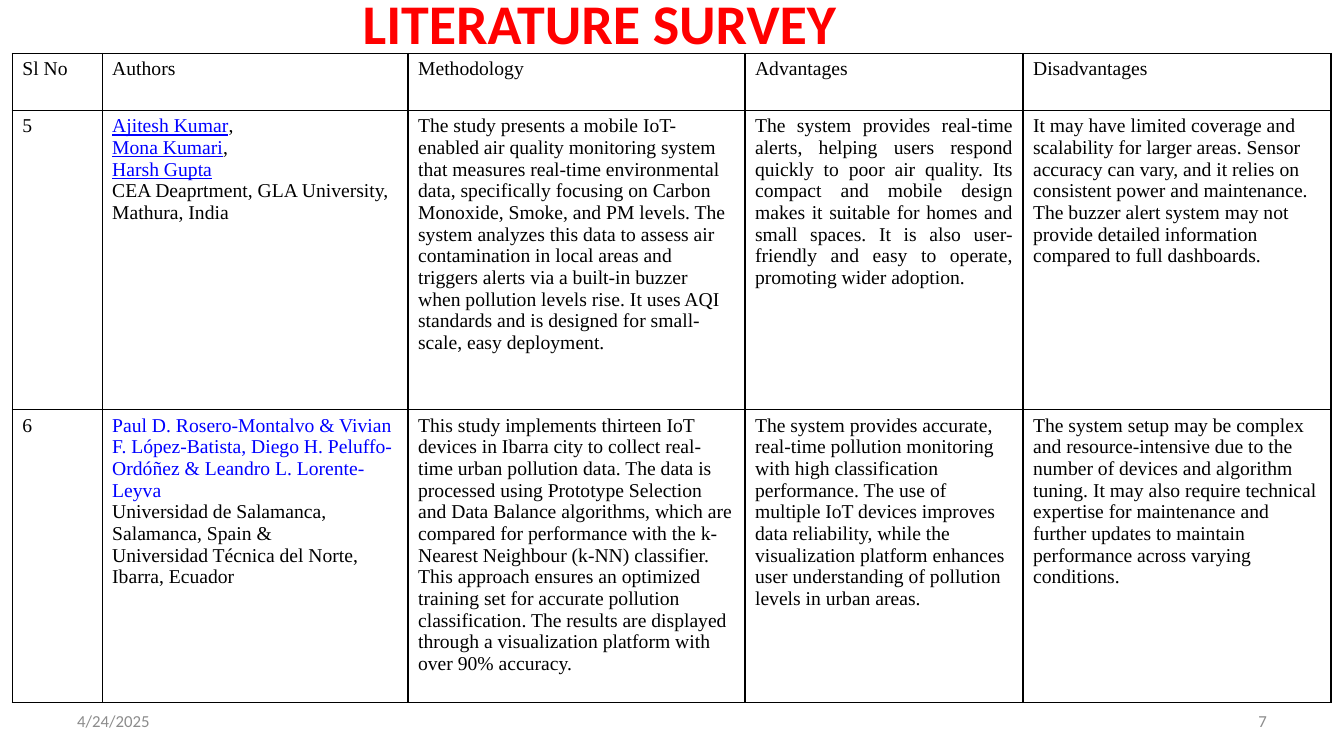
from dataclasses import dataclass

from lxml.etree import SubElement
from pptx import Presentation
from pptx.dml.color import RGBColor
from pptx.enum.text import MSO_ANCHOR as Anchor, PP_ALIGN as Align
from pptx.oxml.ns import qn
from pptx.util import Pt


@dataclass(frozen=True)
class Theme:
    heading_font: str = "Calibri"
    body_font: str = "Times New Roman"
    title_size: float = 40
    body_size: float = 14
    footer_size: float = 12
    border_width: float = 1
    black: str = "000000"
    red: str = "FF0000"
    blue: str = "0000FF"
    grey: str = "8C8C8C"
    white: str = "FFFFFF"


THEME = Theme()


@dataclass(frozen=True)
class Span:
    text: str
    color: str = THEME.black
    underline: bool = False


@dataclass(frozen=True)
class Para:
    spans: tuple[Span, ...]
    align: Align = Align.LEFT


@dataclass(frozen=True)
class Label:
    text: str
    left: float
    top: float
    width: float
    height: float
    size: float
    color: str
    bold: bool = False
    align: Align = Align.LEFT
    anchor: Anchor = Anchor.TOP


def plain(text: str, align: Align = Align.LEFT) -> list[Para]:
    return [Para((Span(text),), align)]


def author(name: str, ending: str = "") -> Para:
    """One underlined author name, with its closing punctuation in black."""
    link = Span(name, THEME.blue, underline=True)
    return Para((link, Span(ending)) if ending else (link,))


FOOTER = dict(top=500.5, width=224, height=28.75, size=THEME.footer_size,
              color=THEME.grey, anchor=Anchor.MIDDLE)
LABELS = [
    Label("4/24/2025", left=48, **FOOTER),
    Label("7", left=688, align=Align.RIGHT, **FOOTER),
    Label("LITERATURE SURVEY", 252, -12, 648, 90, THEME.title_size, THEME.red, bold=True),
]

TABLE_LEFT, TABLE_TOP = 8.8, 38.2
COLUMN_WIDTHS = [64.2, 218.5, 240.7, 198.6, 220]
ROW_HEIGHTS = [40.6, 213.8, 193.4]

HEADER = [plain(name) for name in
          ("Sl No", "Authors", "Methodology", "Advantages", "Disadvantages")]
MOBILE_MONITOR_STUDY = [
    plain("5"),
    [
        author("Ajitesh Kumar", ","),
        author("Mona Kumari", ","),
        author("Harsh Gupta"),
        *plain("CEA Deaprtment, GLA University, Mathura, India"),
    ],
    plain("The study presents a mobile IoT-enabled air quality monitoring system that "
          "measures real-time environmental data, specifically focusing on Carbon Monoxide, "
          "Smoke, and PM levels. The system analyzes this data to assess air contamination "
          "in local areas and triggers alerts via a built-in buzzer when pollution levels "
          "rise. It uses AQI standards and is designed for small-scale, easy deployment."),
    plain("The system provides real-time alerts, helping users respond quickly to poor air "
          "quality. Its compact and mobile design makes it suitable for homes and small "
          "spaces. It is also user-friendly and easy to operate, promoting wider adoption.",
          Align.JUSTIFY),
    plain("It may have limited coverage and scalability for larger areas. Sensor accuracy "
          "can vary, and it relies on consistent power and maintenance. The buzzer alert "
          "system may not provide detailed information compared to full dashboards."),
]
CITY_NETWORK_STUDY = [
    plain("6"),
    [
        Para((Span("Paul D. Rosero-Montalvo & Vivian F. López-Batista, "
                   "Diego H. Peluffo-Ordóñez & Leandro L. Lorente-Leyva", THEME.blue),)),
        *plain("Universidad de Salamanca, Salamanca, Spain &"),
        *plain("Universidad Técnica del Norte, Ibarra, Ecuador"),
    ],
    plain("This study implements thirteen IoT devices in Ibarra city to collect real-time "
          "urban pollution data. The data is processed using Prototype Selection and Data "
          "Balance algorithms, which are compared for performance with the k-Nearest "
          "Neighbour (k-NN) classifier. This approach ensures an optimized training set for "
          "accurate pollution classification. The results are displayed through a "
          "visualization platform with over 90% accuracy."),
    plain("The system provides accurate, real-time pollution monitoring with high "
          "classification performance. The use of multiple IoT devices improves data "
          "reliability, while the visualization platform enhances user understanding of "
          "pollution levels in urban areas."),
    plain("The system setup may be complex and resource-intensive due to the number of "
          "devices and algorithm tuning. It may also require technical expertise for "
          "maintenance and further updates to maintain performance across varying "
          "conditions."),
]
ROWS = [HEADER, MOBILE_MONITOR_STUDY, CITY_NETWORK_STUDY]


def style_font(font, name: str, size: float, color: str, bold: bool = False) -> None:
    font.name = name
    font.size = Pt(size)
    font.bold = bold
    font.color.rgb = RGBColor.from_string(color)


def add_label(page, label: Label) -> None:
    box = page.shapes.add_textbox(
        Pt(label.left), Pt(label.top), Pt(label.width), Pt(label.height))
    frame = box.text_frame
    frame.word_wrap = True
    frame.vertical_anchor = label.anchor
    paragraph = frame.paragraphs[0]
    paragraph.text = label.text
    paragraph.alignment = label.align
    style_font(paragraph.font, THEME.heading_font, label.size, label.color, label.bold)


def add_borders(cell) -> None:
    """Draw all four cell edges; call before filling, as edges precede the fill in XML."""
    properties = cell._tc.get_or_add_tcPr()
    for edge in ("a:lnL", "a:lnR", "a:lnT", "a:lnB"):
        line = SubElement(properties, qn(edge), w=str(Pt(THEME.border_width)))
        fill = SubElement(line, qn("a:solidFill"))
        SubElement(fill, qn("a:srgbClr"), val=THEME.black)


def fill_cell(cell, paras: list[Para]) -> None:
    add_borders(cell)
    cell.fill.solid()
    cell.fill.fore_color.rgb = RGBColor.from_string(THEME.white)
    frame = cell.text_frame
    for index, para in enumerate(paras):
        paragraph = frame.add_paragraph() if index else frame.paragraphs[0]
        paragraph.alignment = para.align
        style_font(paragraph.font, THEME.body_font, THEME.body_size, THEME.black)
        for span in para.spans:
            run = paragraph.add_run()
            run.text = span.text
            if span.color != THEME.black:
                run.font.color.rgb = RGBColor.from_string(span.color)
            if span.underline:
                run.font.underline = True


def add_survey_table(page) -> None:
    table = page.shapes.add_table(
        len(ROWS), len(COLUMN_WIDTHS), Pt(TABLE_LEFT), Pt(TABLE_TOP),
        Pt(sum(COLUMN_WIDTHS)), Pt(sum(ROW_HEIGHTS))).table
    table.first_row = False
    table.horz_banding = False
    for column, width in zip(table.columns, COLUMN_WIDTHS):
        column.width = Pt(width)
    for row, height, contents in zip(table.rows, ROW_HEIGHTS, ROWS):
        row.height = Pt(height)
        for cell, paras in zip(row.cells, contents):
            fill_cell(cell, paras)


def main() -> None:
    deck = Presentation()
    deck.slide_width, deck.slide_height = Pt(960), Pt(540)
    page = deck.slides.add_slide(deck.slide_layouts[6])
    for label in LABELS:
        add_label(page, label)
    add_survey_table(page)
    deck.save("out.pptx")


if __name__ == "__main__":
    main()
